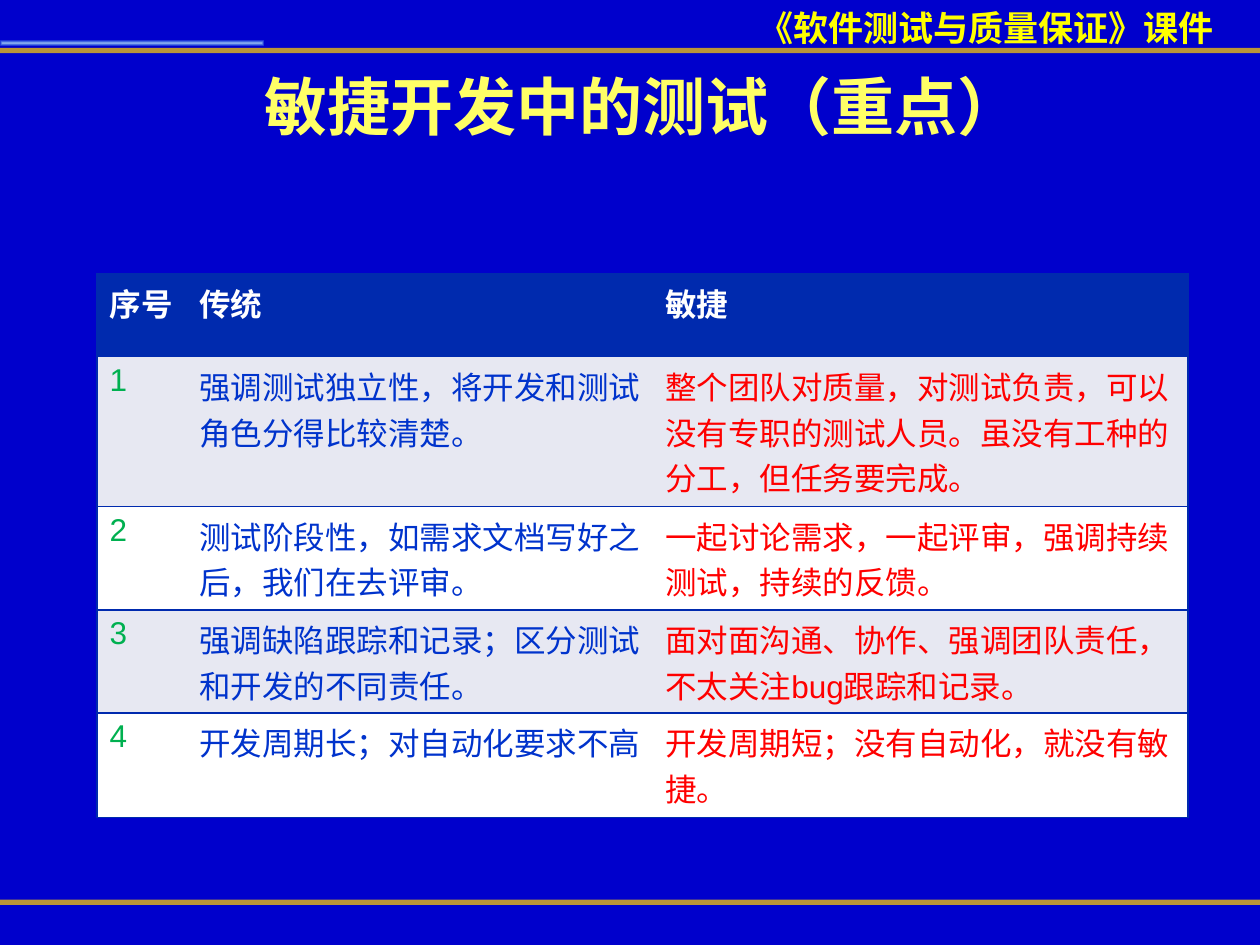
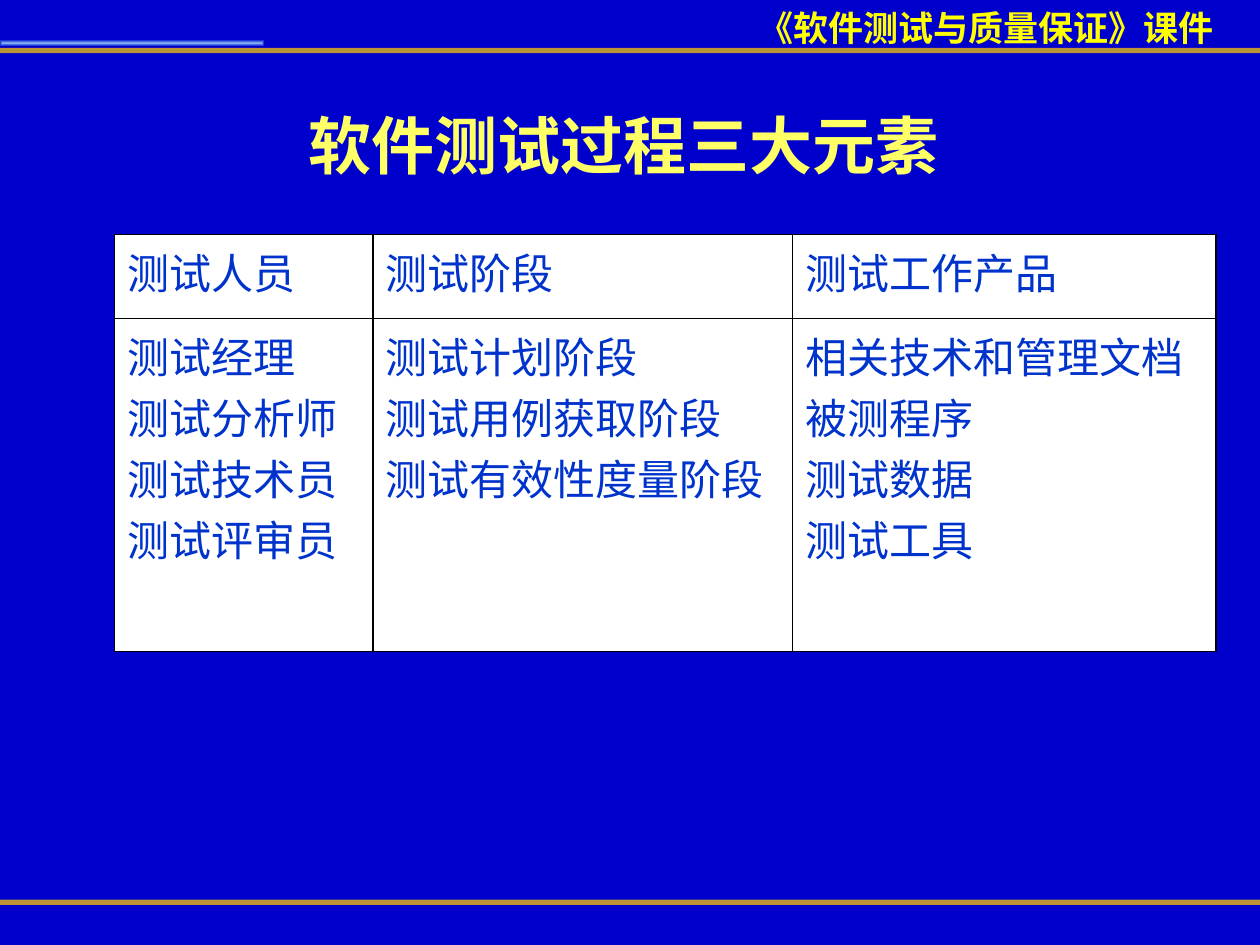
from lxml import etree
from pptx import Presentation
from pptx.dml.color import RGBColor
from pptx.enum import shapes, text
from pptx.oxml import ns, parse_xml
from pptx.util import Inches, Pt

BACKGROUND = "0000CC"
GOLD = "FFCC00"
HEADER_YELLOW = "FFFF00"
TITLE_YELLOW = "FFFF66"
NAVY = "002AAE"
BLUE = "0033CC"
RED = "FF0000"
GREEN = "00B050"
WHITE = "FFFFFF"
PALE = "E7E8F2"
BLACK = "000000"

COURSE = "《软件测试与质量保证》课件"

COMPARISON = [
    ["序号", "传统", "敏捷"],
    ["1", "强调测试独立性，将开发和测试角色分得比较清楚。",
     "整个团队对质量，对测试负责，可以没有专职的测试人员。虽没有工种的分工，但任务要完成。"],
    ["2", "测试阶段性，如需求文档写好之后，我们在去评审。",
     "一起讨论需求，一起评审，强调持续测试，持续的反馈。"],
    ["3", "强调缺陷跟踪和记录；区分测试和开发的不同责任。",
     "面对面沟通、协作、强调团队责任，不太关注bug跟踪和记录。"],
    ["4", "开发周期长；对自动化要求不高", "开发周期短；没有自动化，就没有敏捷。"],
]

ELEMENTS = [
    ["测试人员", "测试阶段", "测试工作产品"],
    ["测试经理\n测试分析师\n测试技术员\n测试评审员",
     "测试计划阶段\n测试用例获取阶段\n测试有效性度量阶段",
     "相关技术和管理文档\n被测程序\n测试数据\n测试工具"],
]


def rgb(value):
    return RGBColor.from_string(value)


def write(frame, content, size=18, color=WHITE, font="Arial", bold=False,
          align=text.PP_ALIGN.LEFT):
    """Fill a text frame, one paragraph for each line of content."""
    frame.word_wrap = True
    for i, line in enumerate(content.split("\n")):
        paragraph = frame.paragraphs[0] if i == 0 else frame.add_paragraph()
        paragraph.alignment = align
        run = paragraph.add_run()
        run.text = line
        run.font.size = Pt(size)
        run.font.name = font
        run.font.bold = bold
        run.font.color.rgb = rgb(color)


def add_text(slide, left, top, width, height, content, anchor, **style):
    box = slide.shapes.add_textbox(Inches(left), Inches(top), Inches(width), Inches(height))
    box.text_frame.vertical_anchor = anchor
    write(box.text_frame, content, **style)


def add_gold_rule(slide, y, right):
    rule = slide.shapes.add_connector(
        shapes.MSO_CONNECTOR.STRAIGHT, 0, Inches(y), Inches(right), Inches(y))
    rule.line.color.rgb = rgb(GOLD)
    rule.line.width = Pt(3)
    color = rule.line._ln.find(".//" + ns.qn("a:srgbClr"))
    etree.SubElement(color, ns.qn("a:alpha"), val="72000")
    etree.SubElement(rule._element.spPr, ns.qn("a:effectLst"))


def add_glow_bar(slide):
    """Draw the translucent bar that fades outwards above the upper rule."""
    bar = slide.shapes.add_shape(
        shapes.MSO_SHAPE.RECTANGLE, 0, Inches(0.32), Inches(2.09), Inches(0.04))
    bar.shadow.inherit = False
    bar.line.fill.background()
    stops = "".join(
        f'<a:gs pos="{position}"><a:srgbClr val="{color}"><a:alpha val="{alpha}"/></a:srgbClr></a:gs>'
        for position, color, alpha in [(0, "C3EBFF", 82000), (100000, "66CCFF", 18000)])
    gradient = parse_xml(
        f'<a:gradFill {ns.nsdecls("a")}><a:gsLst>{stops}</a:gsLst><a:path path="shape">'
        '<a:fillToRect l="50000" t="50000" r="50000" b="50000"/></a:path></a:gradFill>')
    bar._element.spPr.find(ns.qn("a:prstGeom")).addnext(gradient)


def add_base_slide(deck, title, left, top, height):
    """Add a slide with the shared background, rules, course name and title."""
    slide = deck.slides.add_slide(deck.slide_layouts[6])
    slide.background.fill.solid()
    slide.background.fill.fore_color.rgb = rgb(BACKGROUND)
    add_gold_rule(slide, 0.4, 10.04)
    add_gold_rule(slide, 7.16, 10)
    add_glow_bar(slide)
    add_text(slide, 5.92, 0, 5.15, 0.43, COURSE, text.MSO_ANCHOR.TOP,
             size=20, color=HEADER_YELLOW, bold=True)
    add_text(slide, left, top, 9.34, height, title, text.MSO_ANCHOR.MIDDLE,
             size=36, color=TITLE_YELLOW, bold=True, align=text.PP_ALIGN.CENTER)
    return slide


def set_borders(cell, color, sides):
    """Draw the given sides (of L, R, T, B) and clear the others."""
    properties = cell._tc.get_or_add_tcPr()
    for i, side in enumerate("LRTB"):
        fill = (f'<a:solidFill><a:srgbClr val="{color}"/></a:solidFill>'
                if side in sides else "<a:noFill/>")
        properties.insert(i, parse_xml(
            f'<a:ln{side} {ns.nsdecls("a")} w="{Pt(1)}">{fill}</a:ln{side}>'))


def add_grid(slide, left, top, widths, heights, rows, cell_style, border, inner_vertical):
    """Add a table; cell_style(row, column) gives the fill and the text format."""
    table = slide.shapes.add_table(
        len(rows), len(widths), Inches(left), Inches(top),
        Inches(sum(widths)), Inches(sum(heights))).table
    table.first_row = table.horz_banding = False
    for column, width in zip(table.columns, widths):
        column.width = Inches(width)
    for r, (row, height) in enumerate(zip(rows, heights)):
        table.rows[r].height = Inches(height)
        for c, content in enumerate(row):
            cell = table.cell(r, c)
            fill, style = cell_style(r, c)
            cell.fill.solid()
            cell.fill.fore_color.rgb = rgb(fill)
            write(cell.text_frame, content, **style)
            sides = "TB"
            if inner_vertical or c == 0:
                sides += "L"
            if inner_vertical or c == len(widths) - 1:
                sides += "R"
            set_borders(cell, border, sides)


def comparison_style(row, column):
    if row == 0:
        return NAVY, {"bold": True}
    return (PALE if row % 2 else WHITE), {"color": (GREEN, BLUE, RED)[column]}


def elements_style(row, column):
    return WHITE, {"size": 24, "color": BLUE, "font": "Times New Roman"}


def main():
    deck = Presentation()
    deck.slide_width, deck.slide_height = Inches(10), Inches(7.5)

    agile = add_base_slide(deck, "敏捷开发中的测试（重点）", 0.43, 0.44, 0.79)
    add_grid(agile, 0.77, 2.17, [0.71, 3.7, 4.25], [0.66, 1.19, 0.82, 0.82, 0.83],
             COMPARISON, comparison_style, NAVY, inner_vertical=False)

    process = add_base_slide(deck, "软件测试过程三大元素", 0.28, 0.68, 0.93)
    add_grid(process, 0.91, 1.86, [2.05, 3.33, 3.36], [0.67, 2.64], ELEMENTS,
             elements_style, BLACK, inner_vertical=True)

    deck.save("out.pptx")


if __name__ == "__main__":
    main()
